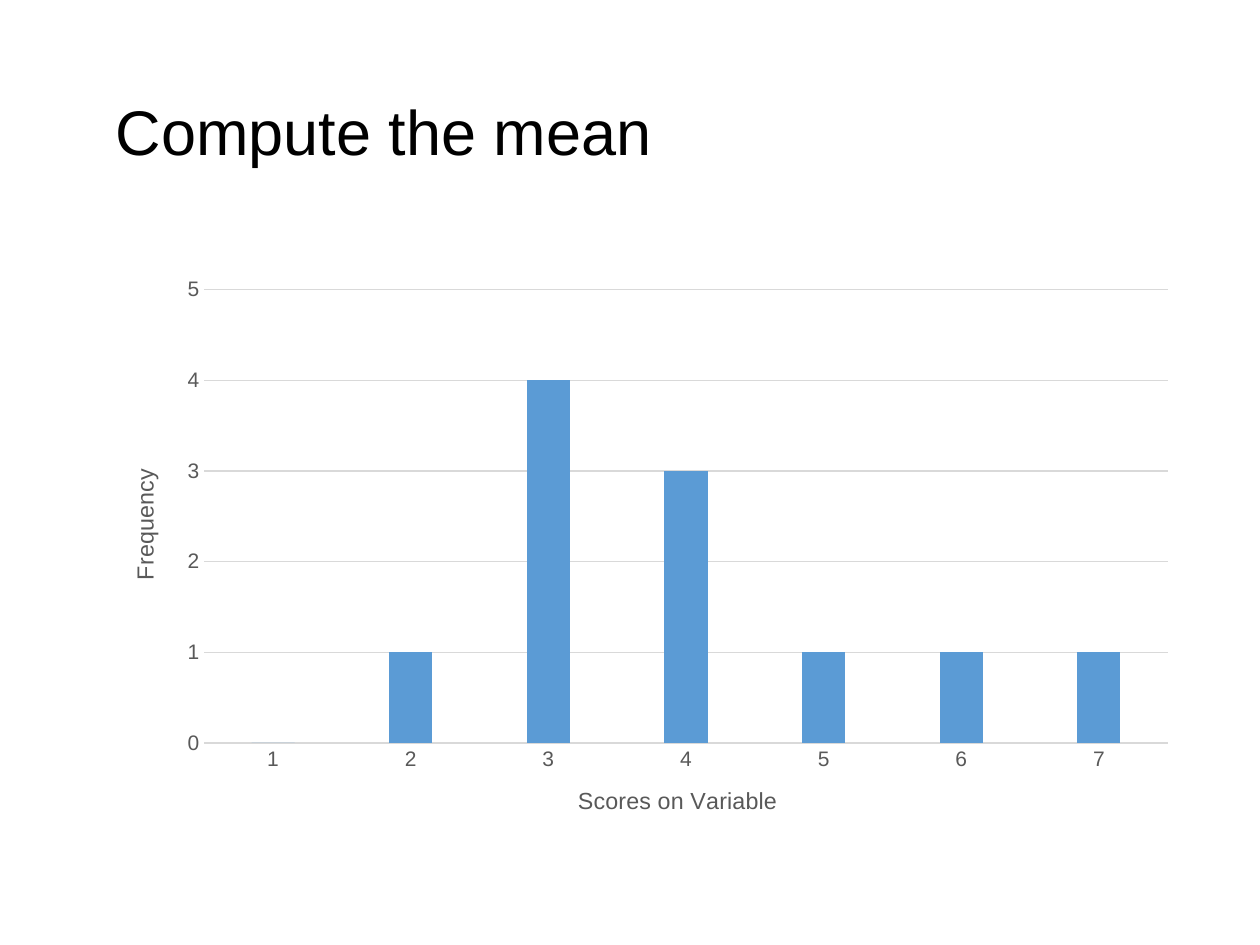
from dataclasses import dataclass

from pptx import Presentation
from pptx.chart.data import CategoryChartData
from pptx.dml.color import RGBColor
from pptx.enum.chart import XL_CHART_TYPE, XL_TICK_MARK
from pptx.enum.text import MSO_ANCHOR
from pptx.util import Inches, Pt

COLUMN = XL_CHART_TYPE.COLUMN_CLUSTERED
NO_TICK = XL_TICK_MARK.NONE
MIDDLE = MSO_ANCHOR.MIDDLE

FONT = "Arial"
COLORS = {"title": "000000", "label": "595959", "grid": "D9D9D9", "bar": "5B9BD5"}
LEFT, WIDTH = Inches(0.82), Inches(8.62)
FREQUENCIES = {"1": 0, "2": 1, "3": 4, "4": 3, "5": 1, "6": 1, "7": 1}


@dataclass
class AxisSpec:
    title: str
    has_line: bool
    has_grid: bool


CATEGORY_AXIS = AxisSpec("Scores on Variable", has_line=True, has_grid=False)
VALUE_AXIS = AxisSpec("Frequency", has_line=False, has_grid=True)


def style_font(font, size: float, color: str) -> None:
    font.name = FONT
    font.size = Pt(size)
    font.bold = False
    font.color.rgb = RGBColor.from_string(COLORS[color])


def style_line(line) -> None:
    line.color.rgb = RGBColor.from_string(COLORS["grid"])
    line.width = Pt(0.75)


def style_axis(axis, spec: AxisSpec) -> None:
    r = axis.axis_title.text_frame.paragraphs[0].add_run()
    r.text = spec.title
    style_font(r.font, 13.3, "label")
    style_font(axis.tick_labels.font, 12, "label")
    axis.major_tick_mark = NO_TICK
    axis.minor_tick_mark = NO_TICK
    axis.has_major_gridlines = spec.has_grid
    if spec.has_grid:
        style_line(axis.major_gridlines.format.line)
    if spec.has_line:
        style_line(axis.format.line)
    else:
        axis.format.line.fill.background()


def add_title(slide, text: str) -> None:
    sp = slide.shapes.add_textbox(LEFT, Inches(0.35), WIDTH, Inches(1.45))
    tf = sp.text_frame
    tf.word_wrap = True
    tf.vertical_anchor = MIDDLE
    p = tf.paragraphs[0]
    p.line_spacing = 0.9
    r = p.add_run()
    r.text = text
    style_font(r.font, 36, "title")


def add_histogram(slide, frequencies: dict[str, int]) -> None:
    data = CategoryChartData()
    data.categories = list(frequencies)
    data.add_series("Series 1", list(frequencies.values()))
    chart = slide.shapes.add_chart(
        COLUMN, LEFT, Inches(2.12), WIDTH, Inches(4.57), data
    ).chart
    chart.has_title = False
    chart.has_legend = False
    style_font(chart.font, 10, "title")
    style_axis(chart.category_axis, CATEGORY_AXIS)
    style_axis(chart.value_axis, VALUE_AXIS)
    chart.value_axis.minimum_scale = 0
    chart.value_axis.maximum_scale = 5
    chart.value_axis.major_unit = 1
    plot = chart.plots[0]
    plot.gap_width = 219
    plot.overlap = -27
    plot.vary_by_categories = False
    fill = plot.series[0].format.fill
    fill.solid()
    fill.fore_color.rgb = RGBColor.from_string(COLORS["bar"])


def main() -> None:
    prs = Presentation()
    prs.slide_width, prs.slide_height = Inches(10), Inches(7.5)
    slide = prs.slides.add_slide(prs.slide_layouts[6])
    add_title(slide, "Compute the mean")
    add_histogram(slide, FREQUENCIES)
    prs.save("out.pptx")


if __name__ == "__main__":
    main()
